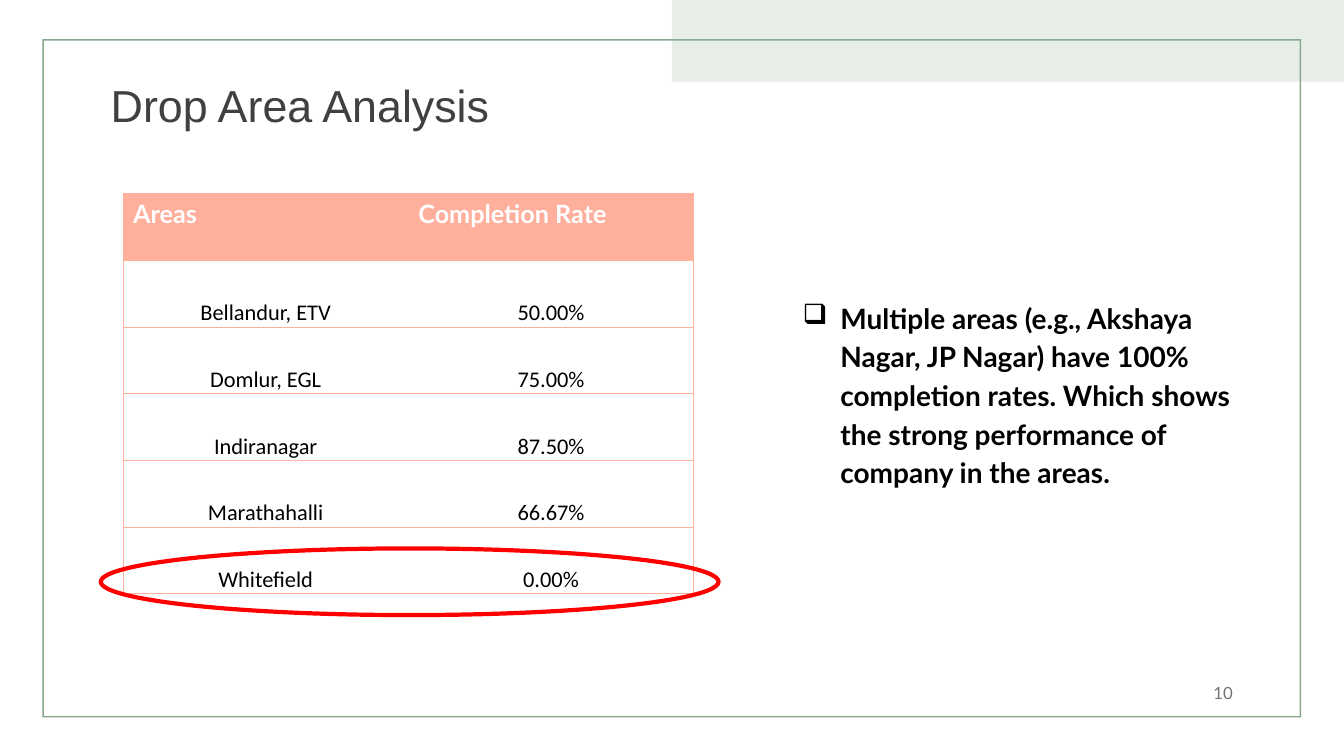
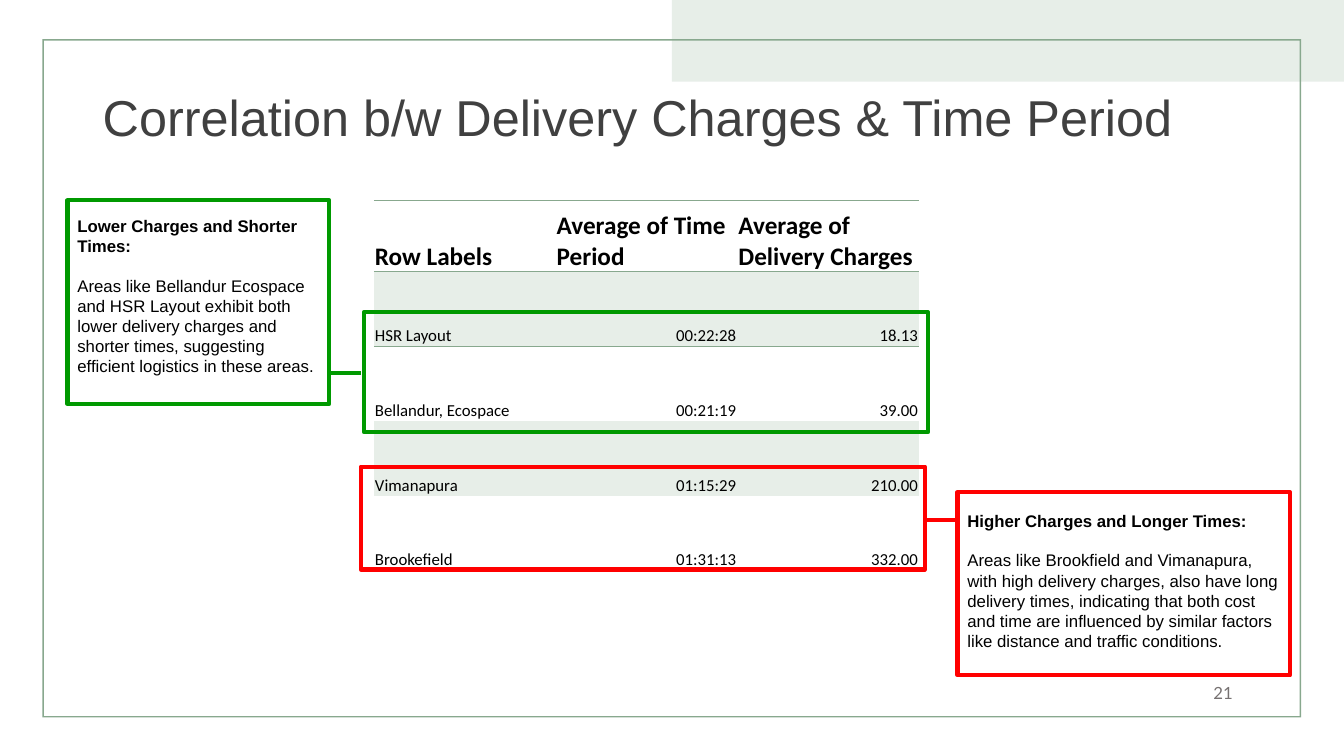
"""Build two slides on drop areas and on delivery charges against time."""
from lxml.etree import SubElement
from pptx import Presentation
from pptx.dml.color import RGBColor
from pptx.enum.shapes import MSO_CONNECTOR, MSO_SHAPE
from pptx.enum.text import MSO_ANCHOR, PP_ALIGN
from pptx.oxml.ns import qn
from pptx.util import Cm, Pt

COLORS = {
    "pale": "E7EEE8", "sage": "88A88E", "title": "404040", "number": "767171",
    "salmon": "FFB09D", "white": "FFFFFF", "black": "000000",
    "red": "FF0000", "green": "009900",
}
RGB = {name: RGBColor.from_string(value) for name, value in COLORS.items()}
NO_STYLE = "{2D5ABB26-0587-4C30-8999-92F81FD0307C}"


def style(p, font, size, color="black", bold=False, align=PP_ALIGN.LEFT):
    p.alignment = align
    for r in p.runs:
        r.font.name = font
        r.font.size = Pt(size)
        r.font.bold = bold
        r.font.color.rgb = RGB[color]


def add_shape(s, kind, box, fill=None, line=None):
    sp = s.shapes.add_shape(kind, *map(Cm, box))
    sp.shadow.inherit = False
    if fill:
        sp.fill.solid()
        sp.fill.fore_color.rgb = RGB[fill]
    else:
        sp.fill.background()
    if line:
        sp.line.color.rgb = RGB[line]
        sp.line.width = Pt(3)
    else:
        sp.line.fill.background()
    return sp


AREAS = [
    ("Areas", "Completion Rate"),
    ("Bellandur, ETV", "50.00%"),
    ("Domlur, EGL", "75.00%"),
    ("Indiranagar", "87.50%"),
    ("Marathahalli", "66.67%"),
    ("Whitefield", "0.00%"),
]
CHARGES = [
    ("Row Labels", "Average of Time Period", "Average of Delivery Charges"),
    ("HSR Layout", "00:22:28", "18.13"),
    ("Bellandur, Ecospace", "00:21:19", "39.00"),
    ("Vimanapura", "01:15:29", "210.00"),
    ("Brookefield", "01:31:13", "332.00"),
]
PAGES = [
    dict(title="Drop Area Analysis", size=32, box=(2.54, 0.61, 29.21, 4.24),
         number="10", rows=AREAS, at=(3.1, 4.88), col=7.19, head=1.68, row=1.68,
         rule="salmon", width=0.5, head_font="Lato", head_color="white",
         body=16, aligns=[PP_ALIGN.CENTER] * 2, boxed=True),
    dict(title="Correlation b/w Delivery Charges & Time Period", size=36,
         box=(2.34, 1.65, 29.21, 2.74), number="21", rows=CHARGES,
         at=(9.42, 5.05), col=4.58, head=1.8, row=1.88, rule="sage", width=1,
         head_font="Calibri", head_color="black", body=12,
         aligns=[PP_ALIGN.LEFT, PP_ALIGN.RIGHT, PP_ALIGN.RIGHT], boxed=False),
]

prs = Presentation()
prs.slide_width, prs.slide_height = Cm(33.87), Cm(19.05)

for page in PAGES:
    s = prs.slides.add_slide(prs.slide_layouts[6])
    add_shape(s, MSO_SHAPE.RECTANGLE, (16.93, 0, 16.94, 2.06), "pale")
    frame = add_shape(s, MSO_SHAPE.FRAME, (1.07, 0.99, 31.72, 17.09), "sage")
    frame.adjustments[0] = 0.002

    for text, box, font, size, color, align in [
        (page["title"], page["box"], "Arial", page["size"], "title", PP_ALIGN.LEFT),
        (page["number"], (23.7, 16.99, 7.62, 1.02), "Lato", 12, "number", PP_ALIGN.RIGHT),
    ]:
        tf = s.shapes.add_textbox(*map(Cm, box)).text_frame
        tf.word_wrap = True
        tf.vertical_anchor = MSO_ANCHOR.MIDDLE
        tf.text = text
        p = tf.paragraphs[0]
        p.line_spacing = 0.9
        style(p, font, size, color, align=align)

    rows, boxed = page["rows"], page["boxed"]
    n_rows, n_cols = len(rows), len(rows[0])
    left, top = page["at"]
    height = page["head"] + page["row"] * (n_rows - 1)
    table = s.shapes.add_table(n_rows, n_cols, Cm(left), Cm(top),
                               Cm(page["col"] * n_cols), Cm(height)).table
    table.first_row = table.horz_banding = False
    table._tbl.tblPr.find(qn("a:tableStyleId")).text = NO_STYLE
    for col in table.columns:
        col.width = Cm(page["col"])
    for i, values in enumerate(rows):
        table.rows[i].height = Cm(page["row"] if i else page["head"])
        for j, value in enumerate(values):
            cell = table.cell(i, j)
            cell.text = value
            p = cell.text_frame.paragraphs[0]
            if i:
                style(p, "Calibri", page["body"], align=page["aligns"][j])
            else:
                style(p, page["head_font"], 18, page["head_color"], True)
            if i or not boxed:
                cell.vertical_anchor = MSO_ANCHOR.BOTTOM
                cell.margin_left = cell.margin_right = cell.margin_top = Cm(0.03)
                cell.margin_bottom = 0
            sides = {
                "a:lnL": boxed and j == 0,
                "a:lnR": boxed and j == n_cols - 1,
                "a:lnT": boxed or i < 2,
                "a:lnB": boxed or i in (0, n_rows - 1),
            }
            for side, shown in sides.items():
                if shown:
                    ln = SubElement(cell._tc.get_or_add_tcPr(), qn(side),
                                    w=str(Pt(page["width"])))
                    fill = SubElement(ln, qn("a:solidFill"))
                    SubElement(fill, qn("a:srgbClr"), val=COLORS[page["rule"]])
            shade = "salmon" if boxed and i == 0 else "pale" if not boxed and i % 2 else None
            if shade:
                cell.fill.solid()
                cell.fill.fore_color.rgb = RGB[shade]
            else:
                cell.fill.background()

areas, charges = prs.slides

add_shape(areas, MSO_SHAPE.OVAL, (2.54, 13.82, 15.57, 1.68), line="red")
tf = areas.shapes.add_textbox(Cm(18.69), Cm(7.34), Cm(13.51), Cm(6.02)).text_frame
tf.word_wrap = True
tf.text = ("Multiple areas (e.g., Akshaya Nagar, JP Nagar) have 100% completion rates. "
           "Which shows the strong performance of company in the areas.")
p = tf.paragraphs[0]
p.line_spacing = 1.15
style(p, "Lato", 20, bold=True)
pPr = p._p.get_or_add_pPr()
pPr.set("marL", str(Cm(2.24)))
pPr.set("indent", str(Cm(-0.95)))
SubElement(pPr, qn("a:buChar"), char="❑")

CALLOUTS = [
    ("red", (9.09, 11.76, 14.22, 2.59), (23.32, 24.13, 13.11),
     (24.13, 12.4, 8.38, 4.62), 0.46, "Higher Charges and Longer Times:",
     "Areas like Brookfield and Vimanapura, with high delivery charges, also have "
     "long delivery times, indicating that both cost and time are influenced by "
     "similar factors like distance and traffic conditions."),
    ("green", (9.17, 7.87, 14.22, 3.02), (9.09, 8.33, 9.4),
     (1.7, 5.05, 6.6, 5.13), 0.38, "Lower Charges and Shorter Times:",
     "Areas like Bellandur Ecospace and HSR Layout exhibit both lower delivery "
     "charges and shorter times, suggesting efficient logistics in these areas."),
]
for color, marked, (x1, x2, y), box, inset, heading, body in CALLOUTS:
    add_shape(charges, MSO_SHAPE.RECTANGLE, marked, line=color)
    link = charges.shapes.add_connector(MSO_CONNECTOR.STRAIGHT, Cm(x1), Cm(y), Cm(x2), Cm(y))
    link.line.color.rgb = RGB[color]
    link.line.width = Pt(3)
    SubElement(link._element.spPr, qn("a:effectLst"))

    tf = add_shape(charges, MSO_SHAPE.RECTANGLE, box, line=color).text_frame
    tf.word_wrap = True
    tf.vertical_anchor = MSO_ANCHOR.TOP
    tf.margin_top = Cm(inset)
    tf.margin_right = Cm(0.12)
    tf.text = heading
    style(tf.paragraphs[0], "Arial", 12, bold=True)
    tf.paragraphs[0].space_after = Pt(14)
    p = tf.add_paragraph()
    p.text = body
    style(p, "Arial", 12)

prs.save("out.pptx")
